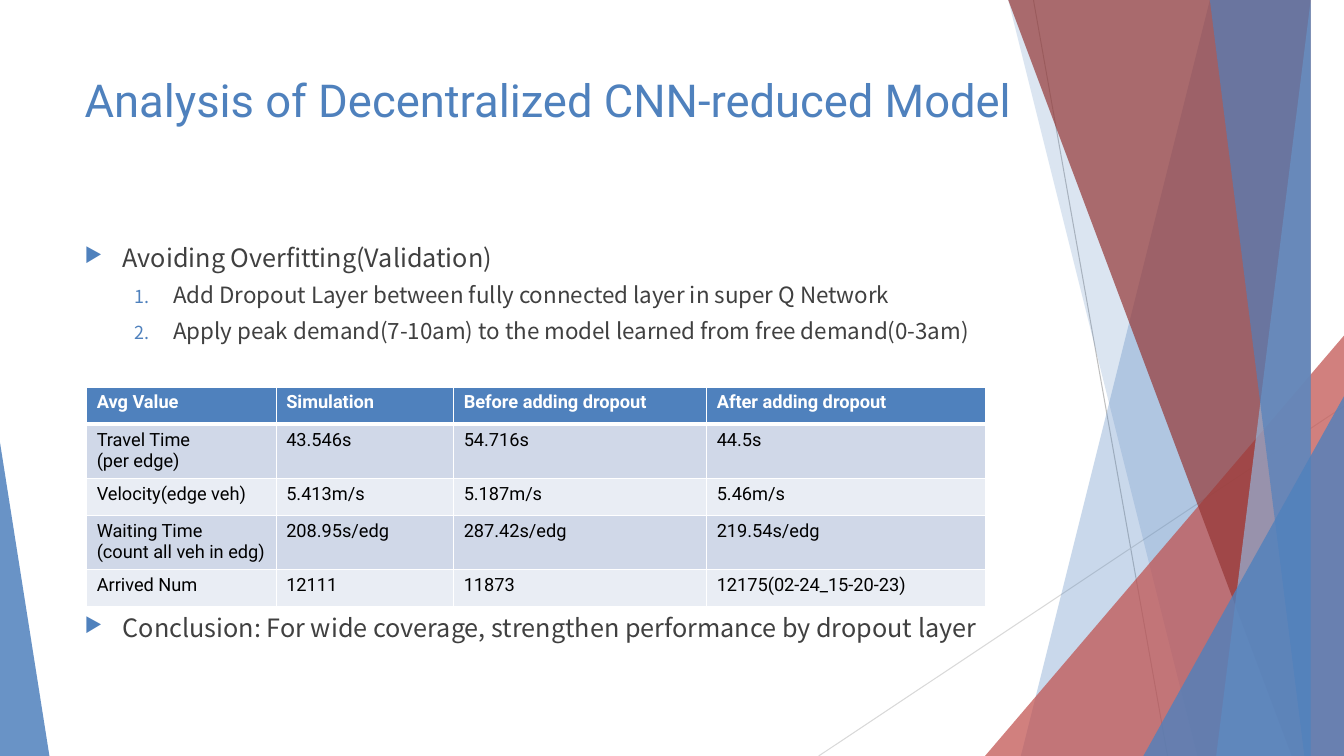
from lxml import etree
from pptx import Presentation
from pptx.dml.color import RGBColor
from pptx.enum.shapes import MSO_CONNECTOR, MSO_SHAPE
from pptx.oxml import parse_xml
from pptx.oxml.ns import nsdecls, qn
from pptx.util import Inches, Pt

COLORS = {
    "blue": "4F81BD", "light_blue": "95B3D7", "red": "C0504D", "dark_red": "953735",
    "text": "404040", "black": "000000", "white": "FFFFFF",
    "line_dark": "BFBFBF", "line_light": "D9D9D9",
    "band_dark": "D0D8E8", "band_light": "E9EDF4",
}
HEAD_FONT, BODY_FONT = "Roboto", "Noto Sans CJK KR"
W, H = 13.33, 7.5


def rgb(name):
    return RGBColor.from_string(COLORS[name])


def style(p, size, font, color, bold=False):
    for r in p.runs:
        r.font.size, r.font.name, r.font.bold = Pt(size), font, bold
        r.font.color.rgb = rgb(color)


prs = Presentation()
prs.slide_width, prs.slide_height = Inches(W), Inches(H)
s = prs.slides.add_slide(prs.slide_layouts[6])

# Thin lines behind the facets
for x1, y1, x2, y2, color in [(10.25, 0, 11.58, H, "line_dark"),
                              (W, 4.03, 8.12, H, "line_light")]:
    line = s.shapes.add_connector(MSO_CONNECTOR.STRAIGHT, Inches(x1), Inches(y1),
                                  Inches(x2), Inches(y2))
    line.line.color.rgb, line.line.width = rgb(color), Pt(0.75)
    etree.SubElement(line._element.spPr, qn("a:effectLst"))

# Facets, back to front: bands (top x, bottom x) reach the right edge,
# triangles are (left, top, width, apex position)
facets = [
    ((12.28, 10.04), "blue", 30),
    ((10.5, 11.83), "blue", 20),
    ((9.77, 3.33, 3.56, 1), "red", 72),
    ((10.21, 12.91), "dark_red", 70),
    ((13.03, 11.92), "light_blue", 70),
    ((11.96, 13.18), "blue", 65),
    ((11.34, 3.93, 1.99, 1), "blue", 80),
    ((0, 4.39, 0.49, 0), "blue", 85),
]
for geometry, color, opacity in facets:
    if len(geometry) == 2:
        top_x, bottom_x = geometry
        outline = s.shapes.build_freeform(top_x, 0, scale=Inches(1))
        outline.add_line_segments([(W, 0), (W, H), (bottom_x, H)], close=True)
        sp = outline.convert_to_shape()
    else:
        x, y, width, apex = geometry
        sp = s.shapes.add_shape(MSO_SHAPE.ISOSCELES_TRIANGLE, Inches(x), Inches(y),
                                Inches(width), Inches(H - y))
        sp.adjustments[0] = apex
    sp.shadow.inherit = False
    sp.line.fill.background()
    sp.fill.solid()
    sp.fill.fore_color.rgb = rgb(color)
    clr = sp._element.spPr.find(qn("a:solidFill")).find(qn("a:srgbClr"))
    etree.SubElement(clr, qn("a:alpha"), val=str(opacity * 1000))

# Title
tf = s.shapes.add_textbox(Inches(0.74), Inches(0.67), Inches(9.5), Inches(1.44)).text_frame
tf.word_wrap = True
tf.text = "Analysis of Decentralized CNN-reduced Model"
style(tf.paragraphs[0], 32.4, HEAD_FONT, "blue")

# Bullets above and below the table: (text, level)
bullets = [
    (2.36, 1.4, [
        ("Avoiding Overfitting(Validation)", 0),
        ("Add Dropout Layer between fully connected layer in super Q Network", 1),
        ("Apply peak demand(7-10am) to the model learned from free demand(0-3am)", 1)]),
    (6.03, 0.5, [
        ("Conclusion: For wide coverage, strengthen performance by dropout layer", 0)]),
]
for top, height, items in bullets:
    tf = s.shapes.add_textbox(Inches(0.74), Inches(top), Inches(9.4), Inches(height)).text_frame
    tf.word_wrap = True
    for i, (text, level) in enumerate(items):
        p = tf.paragraphs[0] if i == 0 else tf.add_paragraph()
        p.text, p.level = text, level
        p.space_before = Pt(6 if i else 0)
        style(p, 16 if level else 18, BODY_FONT, "text")
        pPr = p._p.get_or_add_pPr()
        pPr.set("marL", str(Inches(0.88 if level else 0.38)))
        pPr.set("indent", str(Inches(-0.38)))
        bu_clr = etree.SubElement(pPr, qn("a:buClr"))
        etree.SubElement(bu_clr, qn("a:srgbClr"), val=COLORS["blue"])
        etree.SubElement(pPr, qn("a:buSzPct"), val="80000")
        if level:
            etree.SubElement(pPr, qn("a:buAutoNum"), type="arabicPeriod")
        else:
            etree.SubElement(pPr, qn("a:buChar"), char="▶")

# Results table
rows = [
    ["Avg Value", "Simulation", "Before adding dropout", "After adding dropout"],
    ["Travel Time\n(per edge)", "43.546s", "54.716s", "44.5s"],
    ["Velocity(edge veh)", "5.413m/s", "5.187m/s", "5.46m/s"],
    ["Waiting Time\v(count all veh in edg)", "208.95s/edg", "287.42s/edg", "219.54s/edg"],
    ["Arrived Num", "12111", "11873", "12175(02-24_15-20-23)"],
]
col_widths = [1.88, 1.76, 2.51, 2.77]
row_heights = [0.37, 0.52, 0.37, 0.52, 0.37]
table = s.shapes.add_table(len(rows), len(col_widths), Inches(0.86), Inches(3.84),
                           Inches(sum(col_widths)), Inches(sum(row_heights))).table
for col, width in zip(table.columns, col_widths):
    col.width = Inches(width)
for row, height in zip(table.rows, row_heights):
    row.height = Inches(height)
for i, values in enumerate(rows):
    header = i == 0
    fill = "blue" if header else "band_dark" if i % 2 else "band_light"
    for j, value in enumerate(values):
        cell = table.cell(i, j)
        cell.text_frame.text = value
        for p in cell.text_frame.paragraphs:
            style(p, 13, HEAD_FONT, "white" if header else "black", header)
        cell.fill.solid()
        cell.fill.fore_color.rgb = rgb(fill)
        tcPr = cell._tc.get_or_add_tcPr()
        for k, side in enumerate("LRTB"):
            thick = (header and side == "B") or (i == 1 and side == "T")
            tcPr.insert(k, parse_xml(
                f'<a:ln{side} {nsdecls("a")} w="{Pt(3 if thick else 1)}"><a:solidFill>'
                f'<a:srgbClr val="{COLORS["white"]}"/></a:solidFill></a:ln{side}>'))

prs.save("out.pptx")
